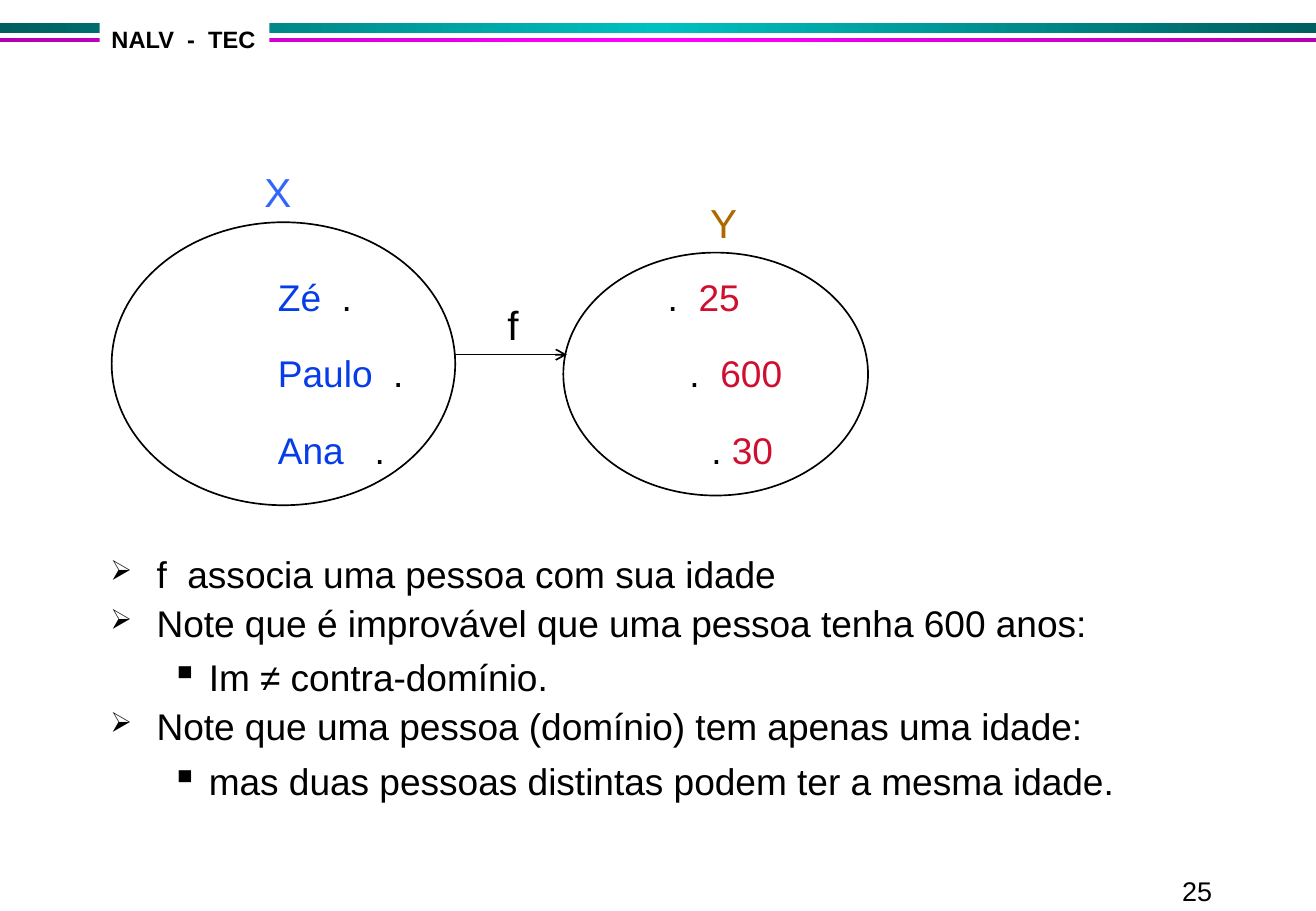
from copy import deepcopy

from lxml.etree import SubElement
from pptx import Presentation
from pptx.dml.color import RGBColor
from pptx.enum.shapes import MSO_CONNECTOR as Connector, MSO_SHAPE as Shape
from pptx.oxml.ns import qn
from pptx.util import Pt

PX = 9144  # 100 px to the inch
BLACK, WHITE = "000000", "FFFFFF"
TEAL, TEAL_DARK = "00C0C0", "005F5F"
MAGENTA, MAGENTA_DARK = "FF00FF", "B100B1"
BLUE, RED = "063DE8", "CF0E30"
BODY_SIZE = 22
ROW_PITCH = 45.5

# bullet, its size in %, left margin, hanging indent, line height in points
BULLET_LEVELS = [("➢", 75, 38, 38, 23.5), ("▪", 100, 81, 31, 26.8)]


def px(length):
    return round(length * PX)


def emu(box):
    return [px(length) for length in box]


def color(value):
    return RGBColor.from_string(value)


def add_span(para, text, size, ink=BLACK, bold=False):
    span = para.add_run()
    span.text = text
    span.font.name = "Arial"
    span.font.size = Pt(size)
    span.font.bold = bold
    span.font.color.rgb = color(ink)


def add_frame(page, box, inset_x=10, inset_y=5, wrap=True):
    """Add a text box and return its text frame."""
    frame = page.shapes.add_textbox(*emu(box)).text_frame
    frame.word_wrap = wrap
    frame.margin_left = frame.margin_right = px(inset_x)
    frame.margin_top = frame.margin_bottom = px(inset_y)
    return frame


def add_label(page, box, text, size, ink=BLACK):
    add_span(add_frame(page, box).paragraphs[0], text, size, ink)


def add_paras(frame, count):
    """Return the first paragraph followed by new ones, count in all."""
    return [frame.paragraphs[0]] + [frame.add_paragraph() for _ in range(count - 1)]


def add_bar(page, box, edge, middle):
    """Add a stripe that is brightest in its middle."""
    bar = page.shapes.add_shape(Shape.RECTANGLE, *emu(box))
    bar.shadow.inherit = False
    bar.line.fill.background()
    bar.fill.gradient()
    bar.fill.gradient_angle = 0
    first = bar.fill.gradient_stops[0]._gs
    first.addnext(deepcopy(first))
    for stop, place, ink in zip(bar.fill.gradient_stops, (0, 0.5, 1), (edge, middle, edge)):
        stop.position = place
        stop.color.rgb = color(ink)


def add_header(page, left, top, width):
    add_bar(page, (left, top, width, 8), TEAL_DARK, TEAL)
    add_bar(page, (left, top + 12, width, 4), MAGENTA_DARK, MAGENTA)
    frame = add_frame(page, (left + 82, top - 3, 140, 33), wrap=False)
    shape_fill = page.shapes[-1].fill
    shape_fill.solid()
    shape_fill.fore_color.rgb = color(WHITE)
    add_span(frame.paragraphs[0], "NALV  -  TEC", 14, bold=True)


def add_ellipse(page, box):
    ellipse = page.shapes.add_shape(Shape.OVAL, *emu(box))
    ellipse.shadow.inherit = False
    ellipse.fill.background()
    ellipse.line.color.rgb = color(BLACK)
    ellipse.line.width = Pt(1)


def add_arrow(page, start, end, y):
    arrow = page.shapes.add_connector(Connector.STRAIGHT, px(start), px(y), px(end), px(y))
    arrow.line.color.rgb = color(BLACK)
    arrow.line.width = Pt(1)
    SubElement(arrow.line._get_or_add_ln(), qn("a:tailEnd"), type="arrow")
    SubElement(arrow._element.spPr, qn("a:effectLst"))


def add_members(page, box, rows):
    """Write one row of (text, colour) spans per line, each with its own left margin."""
    frame = add_frame(page, box, 0, 0)
    for para, (margin, spans) in zip(add_paras(frame, len(rows)), rows):
        para.line_spacing = Pt(ROW_PITCH)
        para._p.get_or_add_pPr().set("marL", str(px(margin)))
        for text, ink in spans:
            add_span(para, text, BODY_SIZE, ink)


def add_function_diagram(page, left, top):
    """Draw sets X and Y and the arrow f between them."""
    add_ellipse(page, (left, top + 50, 283, 233))
    add_ellipse(page, (left + 372, top + 75, 251, 200))
    add_arrow(page, left + 283, left + 375, top + 159)
    add_label(page, (left + 116, top, 42, 50), "X", 24, "3365FB")
    add_label(page, (left + 483, top + 25, 42, 50), "Y", 24, "AD6900")
    add_label(page, (left + 316, top + 109, 42, 50), "f", 24)

    people = [("Zé", "  ."), ("Paulo", "  ."), ("Ana", "   .")]
    ages = [(".  ", "25"), (".  ", "600"), (". ", "30")]
    add_members(page, (left + 137, top + 66, 130, 190),
                [(0, [(name, BLUE), (dot, BLACK)]) for name, dot in people])
    add_members(page, (left + 458, top + 66, 130, 190),
                [(18 * row, [(dot, BLACK), (age, RED)]) for row, (dot, age) in enumerate(ages)])


def add_bullets(page, box, items):
    frame = add_frame(page, box, 0, 0)
    for index, (para, (level, text)) in enumerate(zip(add_paras(frame, len(items)), items)):
        mark, percent, margin, hanging, height = BULLET_LEVELS[level]
        para.level = level
        para.line_spacing = Pt(height)
        para.space_before = Pt(5.5 if index else 0)
        props = para._p.get_or_add_pPr()
        props.set("marL", str(px(margin)))
        props.set("indent", str(px(-hanging)))
        ink = SubElement(props, qn("a:buClr"))
        SubElement(ink, qn("a:srgbClr"), val=BLACK)
        SubElement(props, qn("a:buSzPct"), val=str(percent * 1000))
        SubElement(props, qn("a:buChar"), char=mark)
        add_span(para, text, BODY_SIZE)


def main():
    deck = Presentation()
    deck.slide_width, deck.slide_height = px(1084), px(750)
    page = deck.slides.add_slide(deck.slide_layouts[6])
    add_header(page, 0, 19, 1084)
    add_function_diagram(page, 92, 133)
    add_bullets(page, (91, 458, 902, 219), [
        (0, "f  associa uma pessoa com sua idade"),
        (0, "Note que é improvável que uma pessoa tenha 600 anos:"),
        (1, "Im ≠ contra-domínio."),
        (0, "Note que uma pessoa (domínio) tem apenas uma idade:"),
        (1, "mas duas pessoas distintas podem ter a mesma idade."),
    ])
    add_label(page, (964, 715, 120, 35), "25", 16)
    deck.save("out.pptx")


if __name__ == "__main__":
    main()
